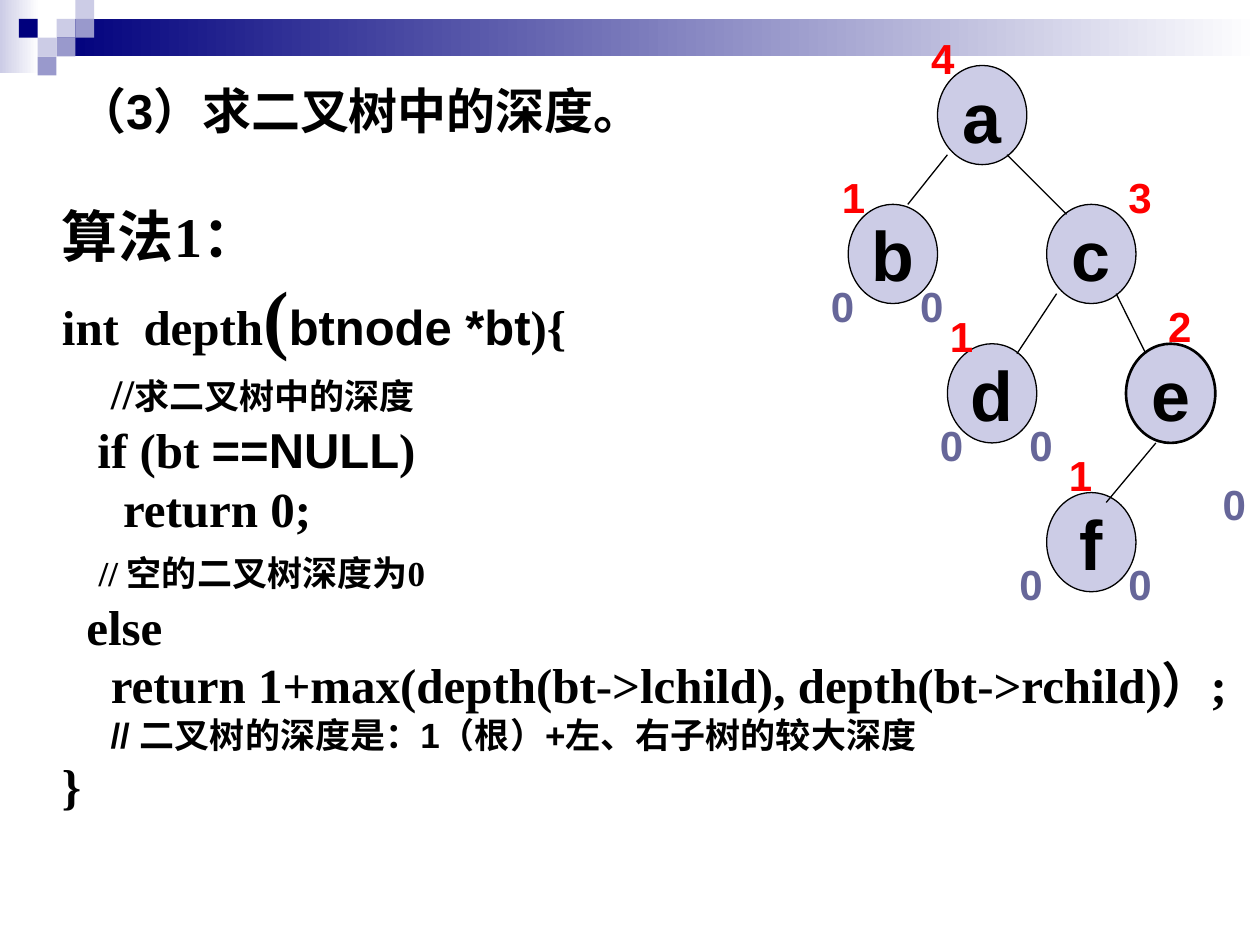
from lxml import etree
from pptx import Presentation
from pptx.dml.color import RGBColor
from pptx.enum.shapes import MSO_CONNECTOR, MSO_SHAPE
from pptx.enum.text import MSO_ANCHOR, PP_ALIGN
from pptx.oxml.ns import qn
from pptx.util import Cm, Pt

RECTANGLE, ELLIPSE = MSO_SHAPE.RECTANGLE, MSO_SHAPE.OVAL
STRAIGHT = MSO_CONNECTOR.STRAIGHT
TOP, MIDDLE = MSO_ANCHOR.TOP, MSO_ANCHOR.MIDDLE
LEFT, CENTER = PP_ALIGN.LEFT, PP_ALIGN.CENTER

SANS, SERIF = "Arial", "Times New Roman"
COLORS = {
    "text": "000000",
    "node": "CCCCE6",
    "depth": "FF0000",
    "empty": "666699",
    "navy": "00007D",
    "pale": "CCCCE6",
    "lilac": "9999CC",
    "white": "FFFFFF",
}

TILE = 0.38
TILES = [  # column, row, colour
    (3, 1, "pale"), (4, 0, "pale"), (4, 1, "lilac"), (2, 2, "pale"),
    (1, 1, "navy"), (3, 2, "lilac"), (2, 3, "lilac"),
]

NODE_WIDTH, NODE_HEIGHT = 1.8, 2.0
# left, top, depth, offset of the depth, offsets of the empty subtrees
NODES = {
    "a": (18.9, 1.32, 4, (-0.38, -0.79), []),
    "b": (17.1, 4.12, 1, (-0.38, -0.79), [(-0.6, 1.42), (1.2, 1.42)]),
    "c": (21.1, 4.12, 3, (1.4, -0.79), []),
    "d": (19.1, 6.93, 1, (-0.2, -0.8), [(-0.4, 1.4), (1.4, 1.4)]),
    "f": (21.1, 9.93, 1, (0.2, -1), [(-0.8, 1.2), (1.4, 1.2)]),
    "e": (22.7, 6.93, 2, (0.6, -1), [(1.7, 2.6)]),
}
# parent, offset of the start, child, offset of the end
EDGES = [
    ("a", (0.2, 1.8), "b", (1.2, 0)),
    ("a", (1.4, 1.8), "c", (0.4, 0.2)),
    ("c", (1.4, 1.8), "e", (0.4, 0.2)),
    ("c", (0.2, 1.8), "d", (1.4, 0.2)),
    ("e", (0.6, 2), "f", (1.2, 0.2)),
]

ALGORITHM = [  # one list of (text, size, font) for each line
    [("算法1：", 32, SERIF)],
    [("int  depth", 28, SERIF), ("(", 44, SERIF),
     ("btnode *bt", 28, SANS), ("){", 28, SERIF)],
    [("    ", 28, SERIF), ("//", 24, SERIF), ("求二叉树中的深度", 20, SANS)],
    [("   ", 16, SANS), (" if (bt ", 28, SERIF),
     ("==NULL", 28, SANS), (")", 28, SERIF)],
    [("     return 0;", 28, SERIF)],
    [("   ", 28, SERIF), ("// 空的二叉树深度为0", 20, SERIF)],
    [("  else", 28, SERIF)],
    [("    return 1+max(depth(bt->lchild), depth(bt->rchild)）;", 28, SERIF)],
    [("     // 二叉树的深度是：1（根）+左、右子树的较大深度", 20, SANS)],
    [("}", 28, SERIF)],
]


def rgb(name):
    return RGBColor.from_string(COLORS[name])


def add_run(paragraph, text, *, size, font=SANS, color="text"):
    run = paragraph.add_run()
    run.text = text
    run.font.size = Pt(size)
    run.font.name = font
    run.font.bold = True
    run.font.color.rgb = rgb(color)


def write(shape, text, *, anchor=TOP, align=LEFT, wrap=True, **run_format):
    frame = shape.text_frame
    frame.word_wrap = wrap
    frame.vertical_anchor = anchor
    paragraph = frame.paragraphs[0]
    paragraph.alignment = align
    add_run(paragraph, text, **run_format)


def add_plain_shape(slide, kind, left, top, width, height):
    shape = slide.shapes.add_shape(
        kind, Cm(left), Cm(top), Cm(width), Cm(height))
    shape.shadow.inherit = False
    return shape


def add_tile(slide, left, top, color):
    tile = add_plain_shape(slide, RECTANGLE, left, top, TILE, TILE)
    tile.fill.solid()
    tile.fill.fore_color.rgb = rgb(color)
    tile.line.fill.background()


def add_fading_band(slide, left, top, width, height, color):
    band = add_plain_shape(slide, RECTANGLE, left, top, width, height)
    band.fill.gradient()
    band.fill.gradient_angle = 0
    for stop, name in zip(band.fill.gradient_stops, (color, "white")):
        stop.color.rgb = rgb(name)
    band.line.fill.background()


def add_header(slide):
    add_fading_band(slide, 0, 0, 0.79, 1.47, "pale")
    add_fading_band(slide, 3 * TILE, TILE, 25.4 - 3 * TILE, 0.76, "navy")
    for column, row, color in TILES:
        add_tile(slide, column * TILE, row * TILE, color)


def add_title(slide, text):
    title = slide.shapes.title
    title.left, title.top = Cm(1.3), Cm(1.32)
    title.width, title.height = Cm(15.19), Cm(1.78)
    write(title, text, size=28, anchor=MIDDLE)


def add_node(slide, letter, left, top, line_width):
    node = add_plain_shape(slide, ELLIPSE, left, top, NODE_WIDTH, NODE_HEIGHT)
    node.fill.solid()
    node.fill.fore_color.rgb = rgb("node")
    node.line.color.rgb = rgb("text")
    node.line.width = Pt(line_width)
    write(node, letter, size=40, anchor=MIDDLE, align=CENTER, wrap=False)


def add_edge(slide, parent, start, child, end):
    (x1, y1), (x2, y2) = NODES[parent][:2], NODES[child][:2]
    edge = slide.shapes.add_connector(
        STRAIGHT, Cm(x1 + start[0]), Cm(y1 + start[1]),
        Cm(x2 + end[0]), Cm(y2 + end[1]))
    edge.line.color.rgb = rgb("text")
    edge.line.width = Pt(0.75)
    etree.SubElement(edge._element.spPr, qn("a:effectLst"))


def add_number(slide, number, left, top, color):
    label = slide.shapes.add_textbox(Cm(left), Cm(top), Cm(0.99), Cm(1.27))
    write(label, str(number), size=24, color=color)


def add_tree(slide):
    for letter, (left, top, *_) in NODES.items():
        add_node(slide, letter, left, top, 1.5 if letter == "e" else 0.75)
    for edge in EDGES:
        add_edge(slide, *edge)
    for left, top, depth, (dx, dy), empty_subtrees in NODES.values():
        add_number(slide, depth, left + dx, top + dy, "depth")
        for dx, dy in empty_subtrees:
            add_number(slide, 0, left + dx, top + dy, "empty")


def add_algorithm(slide):
    listing = slide.shapes.add_textbox(Cm(1), Cm(3.93), Cm(24.4), Cm(15))
    frame = listing.text_frame
    frame.word_wrap = True
    for number, line in enumerate(ALGORITHM):
        paragraph = frame.add_paragraph() if number else frame.paragraphs[0]
        for text, size, font in line:
            add_run(paragraph, text, size=size, font=font)


def main():
    presentation = Presentation()
    presentation.slide_width, presentation.slide_height = Cm(25.4), Cm(19.05)
    title_only = presentation.slide_layouts[5]
    slide = presentation.slides.add_slide(title_only)
    add_header(slide)
    add_title(slide, "（3）求二叉树中的深度。")
    add_tree(slide)
    add_algorithm(slide)
    presentation.save("out.pptx")


if __name__ == "__main__":
    main()
